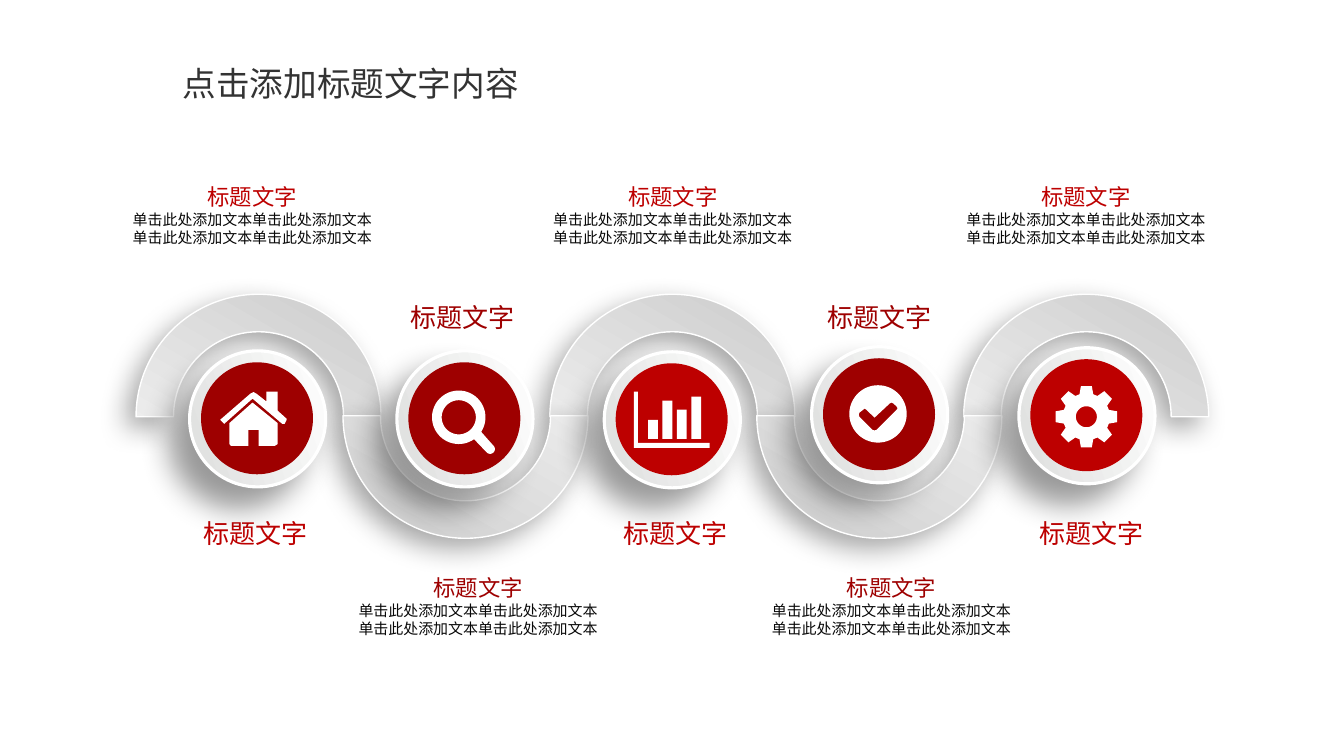
from dataclasses import dataclass
from math import cos, radians, sin

from lxml import etree
from pptx import Presentation
from pptx.dml.color import RGBColor
from pptx.enum.shapes import MSO_SHAPE
from pptx.enum.text import MSO_ANCHOR, MSO_AUTO_SIZE, PP_ALIGN
from pptx.oxml.ns import qn
from pptx.shapes.autoshape import Shape
from pptx.shapes.shapetree import GroupShapes
from pptx.slide import Slide
from pptx.text.text import TextFrame, _Paragraph
from pptx.util import Pt

ELLIPSE, BLOCK_ARC = MSO_SHAPE.OVAL, MSO_SHAPE.BLOCK_ARC
CENTER, MIDDLE = PP_ALIGN.CENTER, MSO_ANCHOR.MIDDLE
FIT_SHAPE, NO_FIT = MSO_AUTO_SIZE.SHAPE_TO_FIT_TEXT, MSO_AUTO_SIZE.NONE

WHITE = RGBColor(0xFF, 0xFF, 0xFF)
RED = RGBColor(0xBD, 0x00, 0x00)
DARK_RED = RGBColor(0x9E, 0x00, 0x00)
INK = RGBColor(0x08, 0x08, 0x08)
TITLE_GRAY = RGBColor(0x33, 0x33, 0x33)
ARC_GRAY = RGBColor(0xCC, 0xCC, 0xCC)
ARC_LIGHT = RGBColor(0xFC, 0xFC, 0xFC)
RIM_GRAY = RGBColor(0xDD, 0xDE, 0xDD)

LATIN_FONT, CJK_FONT = "Arial", "Noto Sans CJK SC"
HEADING = "标题文字"
DETAIL = "单击此处添加文本单击此处添加文本"

ARC_LEFT, ARC_STEP, ARC_SIZE = 97.2, 147.8, 175
RIM_LEFT, RIM_STEP, RIM_SIZE = 135.4, 148.1, 97.2
DISC_SIZE, DISC_INSET = 80, 8.2

Contour = list[tuple[float, float]]


@dataclass(frozen=True)
class Shadow:
    opacity: int
    blur: float
    distance: float
    direction: int


@dataclass(frozen=True)
class Step:
    rim_top: float
    disc_color: RGBColor
    label_left: float
    detail_left: float
    heading_color: RGBColor
    icon: list[Contour]


ARC_SHADOW = Shadow(34, 20, 10, 136)
RIM_SHADOW = Shadow(40, 22, 20, 135)


def arc(x: float, y: float, radius: float, start: int = 0, end: int = 360) -> Contour:
    """Points along a circle, angles in degrees clockwise from the right."""
    count = max(8, (end - start) // 6)
    angles = [radians(start + (end - start) * i / count) for i in range(count + 1)]
    return [(x + radius * cos(a), y + radius * sin(a)) for a in angles]


def box(left: float, top: float, right: float, bottom: float) -> Contour:
    return [(left, top), (right, top), (right, bottom), (left, bottom)]


def gear_outline(x: float, y: float) -> Contour:
    corners = [(-17, 16.8), (-10, 22.3), (10, 22.3), (17, 16.8)]
    return [
        (x + radius * cos(radians(tooth + turn)), y + radius * sin(radians(tooth + turn)))
        for tooth in range(0, 360, 45)
        for turn, radius in corners
    ]


# Icon outlines, in points from the centre of their disc
HOUSE = [
    [(19.8, 4), (18, 4), (-3.2, -14), (-23.4, 4), (-26.3, 1.1), (-4.7, -17.6),
     (-2.5, -18.7), (-0.4, -17.6), (6.8, -11.9), (6.8, -19.1), (14.8, -19.1),
     (14.8, -5.4), (21.2, 0.4), (21.2, 1.1)],
    [(14.8, 18.4), (12.6, 19.8), (1.1, 19.8), (1.1, 8.3), (-6.1, 8.3), (-6.1, 19.8),
     (-18.4, 19.8), (-19.8, 18.4), (-19.8, 3.5), (-3.2, -11.2), (14.8, 3.5)],
]
MAGNIFIER = [
    arc(-4, -0.7, 19.1, 55, 393) + arc(18.4, 22, 3.4, -45, 135),
    arc(-4, -0.7, 12.2),
]
BAR_CHART = [
    [(-27, -19.8), (-24.1, -19.8), (-24.1, 16.9), (27, 16.9), (27, 20.5), (-27, 20.5)],
    *(box(-16.9 + 10.3 * i, top, -9.9 + 10.3 * i, 14)
      for i, top in enumerate([0.4, -13.3, -6.8, -16.2])),
]
CHECK = [
    arc(-0.7, -0.2, 20.5),
    [(12.6, -5.4), (10.4, -7.6), (9, -8.3), (7.6, -7.6), (-3.2, 2.5), (-9, -3.2),
     (-10.4, -4), (-11.2, -3.2), (-14, -1.1), (-14.4, 0.4), (-14, 1.8), (-4.7, 11.2),
     (-3.2, 11.6), (-1.8, 11.2), (12.6, -3.2), (13.3, -4.2)],
]
GEAR = [gear_outline(0, 1.1), arc(0, 1.1, 7.5)]

STEPS = [
    Step(250.6, DARK_RED, 145.4, 59, RED, HOUSE),
    Step(250.6, DARK_RED, 293, 220.3, DARK_RED, MAGNIFIER),
    Step(251.3, RED, 445, 359.3, RED, BAR_CHART),
    Step(247.7, DARK_RED, 591.1, 515.5, DARK_RED, CHECK),
    Step(248.4, RED, 742.3, 654.5, RED, GEAR),
]


def add_shadow(shape: Shape, shadow: Shadow) -> None:
    effects = shape._element.spPr.find(qn("a:effectLst"))
    outer = etree.SubElement(
        effects, qn("a:outerShdw"), blurRad=str(Pt(shadow.blur)),
        dist=str(Pt(shadow.distance)), dir=str(shadow.direction * 60000),
        algn="ctr", rotWithShape="0")
    color = etree.SubElement(outer, qn("a:srgbClr"), val="000000")
    etree.SubElement(color, qn("a:alpha"), val=str(shadow.opacity * 1000))


def fill_gradient(shape: Shape, colors: tuple[RGBColor, RGBColor], angle: int) -> None:
    """Two-colour gradient, angle in degrees clockwise."""
    shape.fill.gradient()
    shape.fill.gradient_angle = 360 - angle
    for stop, color in zip(shape.fill.gradient_stops, colors):
        stop.color.rgb = color


def outline_white(shape: Shape, width: float) -> None:
    shape.line.color.rgb = WHITE
    shape.line.width = Pt(width)


def fill_flat(shape: Shape, color: RGBColor) -> None:
    shape.shadow.inherit = False
    shape.fill.solid()
    shape.fill.fore_color.rgb = color
    shape.line.fill.background()


def add_arc(slide: Slide, index: int) -> None:
    flipped = index % 2 == 1
    shape = slide.shapes.add_shape(
        BLOCK_ARC, Pt(ARC_LEFT + ARC_STEP * index), Pt(209.5 if flipped else 210.2),
        Pt(ARC_SIZE), Pt(ARC_SIZE))
    for i, value in enumerate([108, 0, 0.153]):
        shape.adjustments[i] = value
    shape.rotation = 180 if flipped else 0
    shape.shadow.inherit = False
    fill_gradient(shape, (ARC_GRAY, ARC_LIGHT), 120)
    outline_white(shape, 1)
    add_shadow(shape, ARC_SHADOW)


def add_icon(shapes: GroupShapes, contours: list[Contour], x: float, y: float) -> None:
    builder = None
    for contour in contours:
        start, *rest = [(Pt(x + dx), Pt(y + dy)) for dx, dy in contour]
        if builder is None:
            builder = shapes.build_freeform(*start)
        else:
            builder.move_to(*start)
        builder.add_line_segments(rest, close=True)
    fill_flat(builder.convert_to_shape(), WHITE)


def add_badge(slide: Slide, index: int, step: Step) -> None:
    shapes = slide.shapes.add_group_shape().shapes
    left, top = RIM_LEFT + RIM_STEP * index, step.rim_top
    rim = shapes.add_shape(ELLIPSE, Pt(left), Pt(top), Pt(RIM_SIZE), Pt(RIM_SIZE))
    rim.shadow.inherit = False
    fill_gradient(rim, (WHITE, RIM_GRAY), 160)
    outline_white(rim, 2.25)
    add_shadow(rim, RIM_SHADOW)
    disc_left, disc_top = left + DISC_INSET, top + DISC_INSET
    disc = shapes.add_shape(
        ELLIPSE, Pt(disc_left), Pt(disc_top), Pt(DISC_SIZE), Pt(DISC_SIZE))
    fill_flat(disc, step.disc_color)
    add_icon(shapes, step.icon, disc_left + DISC_SIZE / 2, disc_top + DISC_SIZE / 2)


def format_paragraph(paragraph: _Paragraph, size: float, color: RGBColor,
                     font_name: str = CJK_FONT) -> None:
    paragraph.alignment = CENTER
    for run in paragraph.runs:
        run.font.size = Pt(size)
        run.font.color.rgb = color
        run.font.name = font_name
        etree.SubElement(run.font._element, qn("a:ea"), typeface=CJK_FONT)


def add_text_frame(slide: Slide, left: float, top: float, width: float, height: float,
                   text: str, wrap: bool) -> TextFrame:
    text_frame = slide.shapes.add_textbox(
        Pt(left), Pt(top), Pt(width), Pt(height)).text_frame
    text_frame.text = text
    text_frame.word_wrap = wrap
    text_frame.auto_size = FIT_SHAPE
    return text_frame


def add_label(slide: Slide, index: int, step: Step) -> None:
    top = 214.6 if index % 2 else 368.6
    text_frame = add_text_frame(slide, step.label_left, top, 74.9, 23.8, HEADING, False)
    text_frame.margin_left = text_frame.margin_right = Pt(0)
    text_frame.margin_top = text_frame.margin_bottom = Pt(0)
    text_frame.vertical_anchor = MIDDLE
    format_paragraph(text_frame.paragraphs[0], 18.6, step.heading_color, LATIN_FONT)


def add_detail(slide: Slide, index: int, step: Step) -> None:
    top = 406.8 if index % 2 else 127.4
    text = "\n".join([HEADING, DETAIL, DETAIL])
    text_frame = add_text_frame(slide, step.detail_left, top, 242.6, 53.3, text, True)
    heading, *details = text_frame.paragraphs
    format_paragraph(heading, 16, step.heading_color)
    for paragraph in details:
        format_paragraph(paragraph, 10.7, INK)


def set_title(slide: Slide) -> None:
    title = slide.shapes.title
    title.left, title.top, title.width, title.height = Pt(73.4), Pt(40.3), Pt(354.2), Pt(38.2)
    title.text_frame.text = "点击添加标题文字内容"
    title.text_frame.auto_size = NO_FIT
    title.text_frame.vertical_anchor = MIDDLE
    format_paragraph(title.text_frame.paragraphs[0], 24, TITLE_GRAY)


def main() -> None:
    presentation = Presentation()
    presentation.slide_width, presentation.slide_height = Pt(960), Pt(540)
    slide = presentation.slides.add_slide(presentation.slide_layouts[5])
    set_title(slide)
    for index in (0, 2, 4, 1, 3):
        add_arc(slide, index)
    for add_part in (add_label, add_badge, add_detail):
        for index, step in enumerate(STEPS):
            add_part(slide, index, step)
    presentation.save("out.pptx")


if __name__ == "__main__":
    main()
